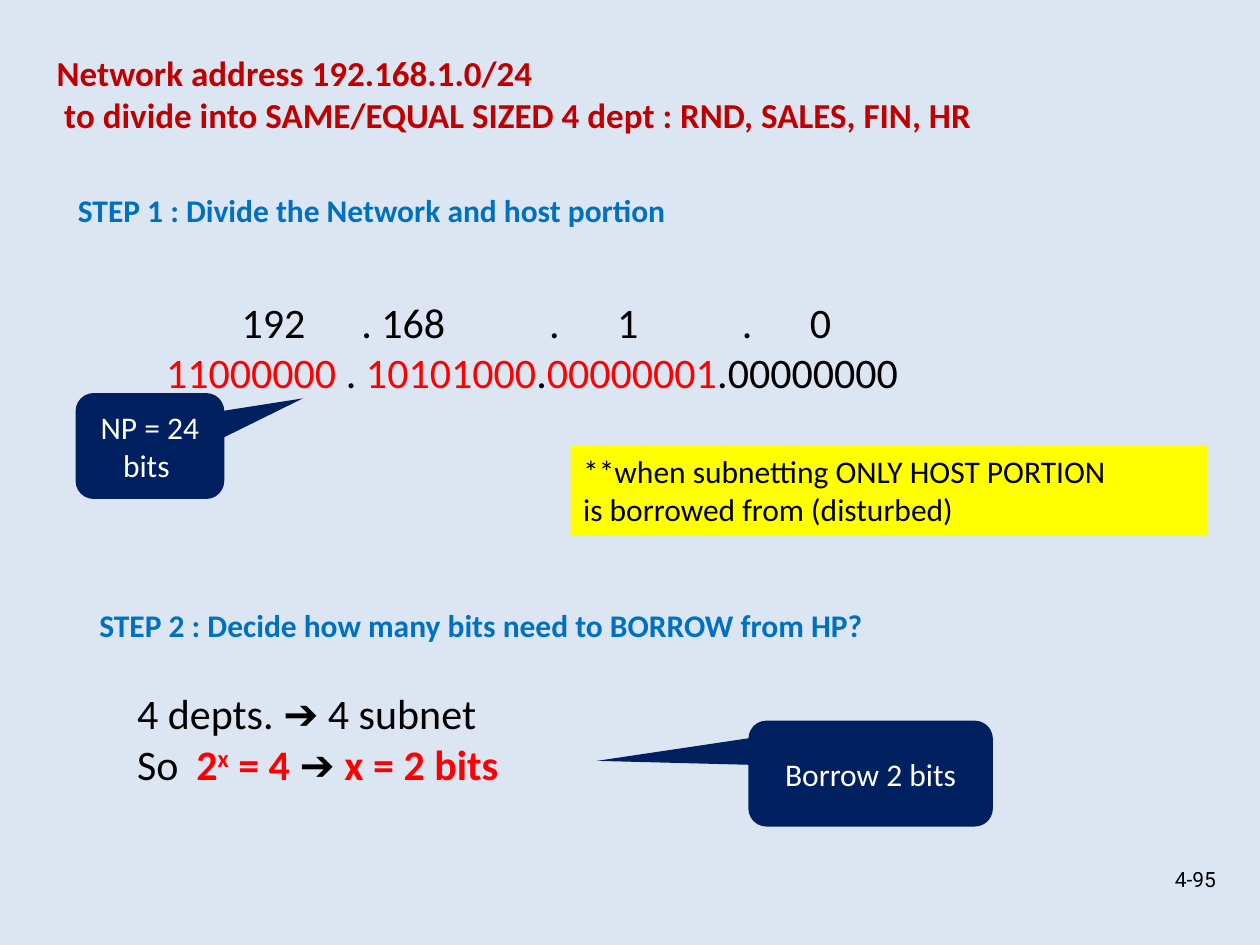
from lxml import etree
from pptx import Presentation
from pptx import util as u
from pptx.dml.color import RGBColor
from pptx.enum import shapes, text
from pptx.oxml.ns import qn

COLORS = {"background": "DCE6F2", "title": "C00000", "step": "0070C0",
          "black": "000000", "red": "FF0000", "white": "FFFFFF",
          "navy": "002060", "yellow": "FFFF00"}
ALIGN = text.PP_ALIGN
ANCHOR = text.MSO_ANCHOR


def color(name):
    return RGBColor.from_string(COLORS[name])


def write(shape, lines, size, base="black", bold=False, font="Calibri",
          align=ALIGN.LEFT, anchor=ANCHOR.TOP, tabs=()):
    """Fill a shape; a line is a list of (text, format changes) runs."""
    frame = shape.text_frame
    frame.auto_size = text.MSO_AUTO_SIZE.NONE
    frame.word_wrap = True
    frame.vertical_anchor = anchor
    for number, line in enumerate(lines):
        paragraph = frame.add_paragraph() if number else frame.paragraphs[0]
        paragraph.alignment = align
        if tabs:
            stops = etree.SubElement(paragraph._p.get_or_add_pPr(), qn("a:tabLst"))
            for stop in tabs:
                etree.SubElement(stops, qn("a:tab"), pos=str(u.Inches(stop)), algn="l")
        for words, changes in line:
            run = paragraph.add_run()
            run.text = words
            look = {"name": font, "size": u.Pt(size), "bold": changes.get("bold", bold)}
            for attribute, value in look.items():
                setattr(run.font, attribute, value)
            run.font.color.rgb = color(changes.get("color", base))
            if "baseline" in changes:
                run._r.get_or_add_rPr().set("baseline", changes["baseline"])


prs = Presentation()
prs.slide_width, prs.slide_height = u.Inches(10), u.Inches(7.5)
slide = prs.slides.add_slide(prs.slide_layouts[5])
slide.background.fill.solid()
slide.background.fill.fore_color.rgb = color("background")

# Title, second line slightly indented
title = slide.shapes.title
place = {"left": 0.35, "top": 0.36, "width": 7.52, "height": 0.77}
for side, inches in place.items():
    setattr(title, side, u.Inches(inches))
write(title, [[("Network address 192.168.1.0/24", {})],
              [("to divide into SAME/EQUAL SIZED 4 dept : RND, SALES, FIN, HR", {})]],
      20, "title", bold=True)
second_line = title.text_frame.paragraphs[1]._p.get_or_add_pPr()
second_line.set("marL", str(u.Inches(0.06)))

# Text blocks: box, lines, size and format
red, strong = {"color": "red"}, {"color": "red", "bold": True}
address = [[("\t192\t. 168\t.\t1\t.\t0", {})],
           [("11000000", red), (" . ", {}), ("10101000", red), (".", {}),
            ("00000001", red), (".00000000", {})]]
borrowing = [[("4 depts. ➔ 4 subnet", {})],
             [("So\t", {}), ("2", strong), ("x", {**strong, "baseline": "30000"}),
              (" = 4 ", strong), ("➔ ", {}), ("x = 2 bits", strong)]]
step = {"base": "step", "bold": True}
blocks = [
    ((0.52, 1.47, 6.22, 0.4),
     [[("STEP 1 : Divide the Network and host portion", {})]], 18, step),
    ((1.22, 2.3, 6.97, 0.91), address, 24,
     {"tabs": (0.6, 1.55, 3.04, 3.58, 4.57, 5.11)}),
    ((0.69, 4.76, 7.82, 0.4),
     [[("STEP 2 : Decide how many bits need to BORROW from HP?", {})]], 18, step),
    ((0.99, 5.41, 3.77, 0.91), borrowing, 24, {"tabs": (0.47,)}),
    ((8.96, 6.81, 0.79, 0.33), [[("4-95", {})]], 12,
     {"font": "Roboto", "align": ALIGN.RIGHT, "anchor": ANCHOR.MIDDLE}),
]
for box, lines, size, look in blocks:
    write(slide.shapes.add_textbox(*map(u.Inches, box)), lines, size, **look)

# Callouts and the highlighted note
callout = shapes.MSO_SHAPE.ROUNDED_RECTANGULAR_CALLOUT
centred = {"base": "white", "align": ALIGN.CENTER, "anchor": ANCHOR.MIDDLE}
panels = [
    (callout, (0.6, 3.12, 1.18, 0.84), "navy", (1.03, -0.45, 0.17),
     [[("NP = 24 bits ", {})]], centred),
    (shapes.MSO_SHAPE.RECTANGLE, (4.53, 3.54, 5.06, 0.71), "yellow", (),
     [[("**when subnetting ONLY HOST PORTION", {})],
      [("is borrowed from (disturbed)", {})]], {}),
    (callout, (5.94, 5.72, 1.94, 0.84), "navy", (-1.12, -0.12, 0.17),
     [[("Borrow 2 bits", {})]], centred),
]
for kind, box, fill, adjustments, lines, look in panels:
    panel = slide.shapes.add_shape(kind, *map(u.Inches, box))
    panel.shadow.inherit = False
    panel.fill.solid()
    panel.fill.fore_color.rgb = color(fill)
    panel.line.fill.background()
    for index, value in enumerate(adjustments):
        panel.adjustments[index] = value
    write(panel, lines, 18, **look)

prs.save("out.pptx")
